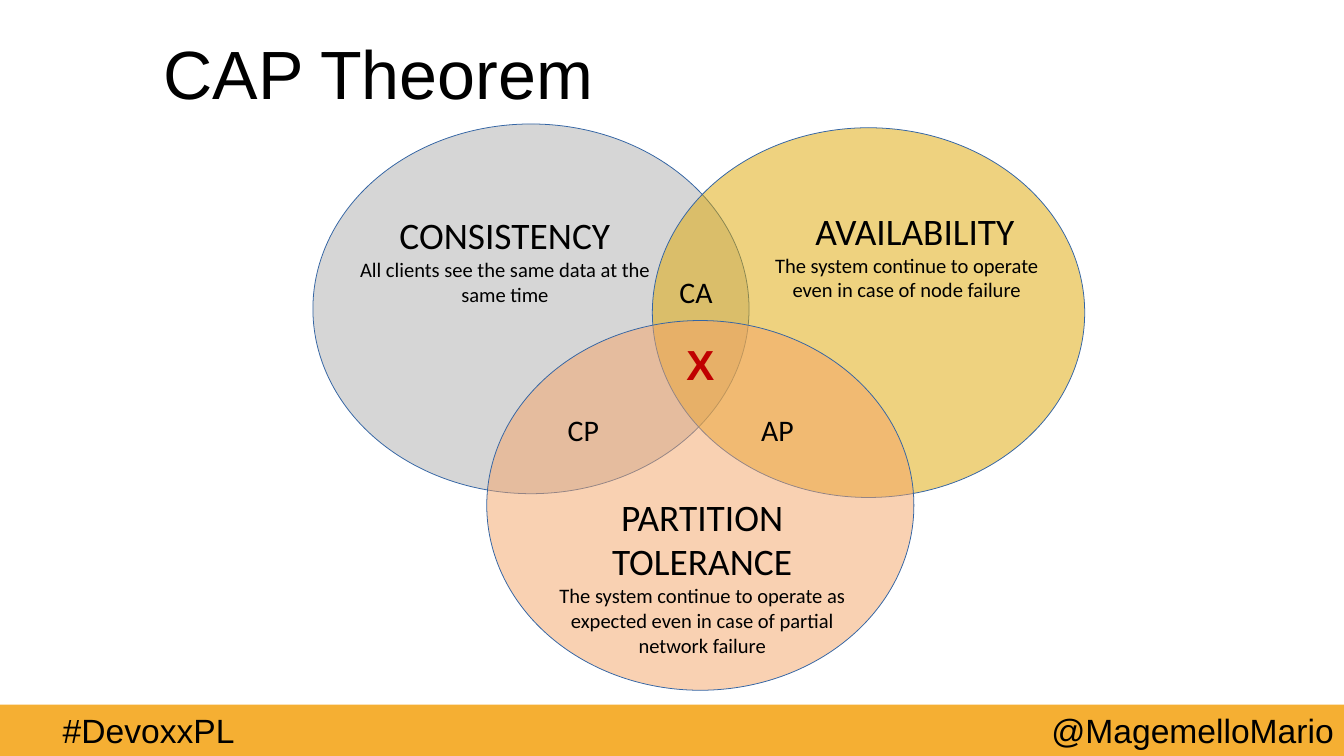
"""Build the CAP theorem slide: three overlapping ellipses with labels and a footer band."""
from dataclasses import dataclass

from lxml import etree
from pptx import Presentation
from pptx import util as u
from pptx.dml.color import RGBColor
from pptx.enum import shapes, text
from pptx.oxml import ns

WIDTH, HEIGHT = u.Inches(17.78), u.Inches(10)
COLOURS = {
    "ink": "000000",
    "band": "F5AF33",
    "outline": "3465A4",
    "consistency": "BFBFBF",
    "availability": "DEA700",
    "partition": "F4A467",
    "cross": "C00000",
    "glow": "A0F0F0",
}
HEADING, DETAIL, LABEL, FOOTER = 35.6, 19.6, 28.4, 32
WIDE_INSETS = (0.16, 0.08)
SLIM_INSETS = (0.06, 0.06)
CENTRE, LEFT, RIGHT = text.PP_ALIGN.CENTER, text.PP_ALIGN.LEFT, text.PP_ALIGN.RIGHT


@dataclass(frozen=True)
class Area:
    """A rectangle in percent of the slide's width and height."""
    left: float
    top: float
    width: float
    height: float

    def lengths(self) -> tuple[int, int, int, int]:
        """Return left, top, width and height as slide lengths."""
        return (int(WIDTH * self.left / 100), int(HEIGHT * self.top / 100),
                int(WIDTH * self.width / 100), int(HEIGHT * self.height / 100))


@dataclass(frozen=True)
class Line:
    """One paragraph with its size and left indent in points."""
    words: str
    size: float
    indent: float = 0


@dataclass(frozen=True)
class Label:
    """A short label for an overlap of two properties."""
    words: str
    area: Area


@dataclass(frozen=True)
class Property:
    """One ellipse of the diagram with its description and overlap labels."""
    colour: str
    opacity: int
    ellipse: Area
    description: Area
    lines: tuple[Line, ...]
    labels: tuple[Label, ...] = ()


PROPERTIES = (
    Property("consistency", 64, Area(23.28, 16.4, 32.45, 48.9), Area(25.87, 27.3, 23.4, 7.7),
             (Line("CONSISTENCY", HEADING),
              Line("All clients see the same data at the same time", DETAIL))),
    Property("availability", 50, Area(48.54, 16.9, 32.17, 48.9), Area(56.69, 26.7, 21.54, 7.7),
             (Line("AVAILABILITY", HEADING, 16),
              Line("The system continue to operate even in case of node failure", DETAIL)),
             (Label("CA", Area(49.66, 35.4, 4.89, 7.7)),)),
    Property("partition", 50, Area(36.22, 42.4, 31.78, 48.9), Area(39.54, 64.5, 25.42, 14),
             (Line("PARTITION", HEADING),
              Line("TOLERANCE", HEADING),
              Line("The system continue to operate as expected even in case of partial "
                   "network failure", DETAIL)),
             (Label("AP", Area(55.74, 53.7, 5.79, 7.7)),
              Label("CP", Area(41.34, 53.7, 5.79, 7.7)))),
)


def rgb(name: str) -> RGBColor:
    """Look up a colour by name."""
    return RGBColor.from_string(COLOURS[name])


def add_figure(page, kind, area: Area, colour: str, opacity: int = 100, outline: str = ""):
    """Draw a filled preset shape."""
    figure = page.shapes.add_shape(kind, *area.lengths())
    figure.shadow.inherit = False
    figure.fill.solid()
    figure.fill.fore_color.rgb = rgb(colour)
    if opacity < 100:
        tint = figure.fill._xPr.find(ns.qn("a:solidFill"))[0]
        etree.SubElement(tint, ns.qn("a:alpha"), val=str(opacity * 1000))
    if outline:
        figure.line.color.rgb = rgb(outline)
        figure.line.width = u.Pt(0.75)
    else:
        figure.line.fill.background()
    return figure


def add_text(page, area: Area, *lines: Line, font: str = "Calibri", colour: str = "ink",
             align=LEFT, anchor=text.MSO_ANCHOR.TOP, insets=WIDE_INSETS,
             bold: bool = False, wrap: bool = True):
    """Write lines of text in a box with the given format."""
    box = page.shapes.add_textbox(*area.lengths())
    frame = box.text_frame
    frame.word_wrap = wrap
    frame.vertical_anchor = anchor
    frame.margin_left = frame.margin_right = u.Inches(insets[0])
    frame.margin_top = frame.margin_bottom = u.Inches(insets[1])
    for index, line in enumerate(lines):
        para = frame.add_paragraph() if index else frame.paragraphs[0]
        para.alignment = align
        if line.indent:
            para._p.get_or_add_pPr().set("marL", str(u.Pt(line.indent)))
        span = para.add_run()
        span.text = line.words
        span.font.name = font
        span.font.size = u.Pt(line.size)
        span.font.bold = bold
        span.font.color.rgb = rgb(colour)
    return box


def add_text_shadow(box, colour: str) -> None:
    """Give the first span of a box a soft coloured shadow."""
    span = box.text_frame.paragraphs[0].runs[0]
    fill = span.font._element.find(ns.qn("a:solidFill"))
    effects = etree.Element(ns.qn("a:effectLst"))
    shadow = etree.SubElement(effects, ns.qn("a:outerShdw"), blurRad=str(u.Pt(4)),
                              dist=str(u.Pt(3)), dir="2700000")
    etree.SubElement(shadow, ns.qn("a:srgbClr"), val=COLOURS[colour])
    fill.addnext(effects)


def add_property(page, item: Property) -> None:
    """Draw one ellipse with its description and labels."""
    add_figure(page, shapes.MSO_SHAPE.OVAL, item.ellipse, item.colour, item.opacity, "outline")
    add_text(page, item.description, *item.lines, align=CENTRE)
    for label in item.labels:
        add_text(page, label.area, Line(label.words, LABEL))


def main() -> None:
    """Build and save the deck."""
    deck = Presentation()
    deck.slide_width, deck.slide_height = WIDTH, HEIGHT
    page = deck.slides.add_slide(deck.slide_layouts[6])
    middle = {"font": "Arial", "anchor": text.MSO_ANCHOR.MIDDLE}

    add_figure(page, shapes.MSO_SHAPE.RECTANGLE, Area(0, 93.2, 100, 6.8), "band")
    add_text(page, Area(55.96, 93.3, 43.64, 6.5), Line("@MagemelloMario", FOOTER),
             align=RIGHT, insets=SLIM_INSETS, **middle)
    add_text(page, Area(4.33, 93.3, 36.22, 6.5), Line("#DevoxxPL", FOOTER),
             insets=SLIM_INSETS, **middle)
    title = add_text(page, Area(12.15, 1.4, 85.77, 16.4), Line("CAP Theorem", 65),
                     insets=(0, 0), **middle)
    add_text_shadow(title, "glow")

    for item in PROPERTIES:
        add_property(page, item)
    add_text(page, Area(50.73, 44.2, 2.76, 7.9), Line("X", 40), colour="cross", bold=True,
             align=CENTRE, insets=SLIM_INSETS, wrap=False, **middle)
    deck.save("out.pptx")


if __name__ == "__main__":
    main()
